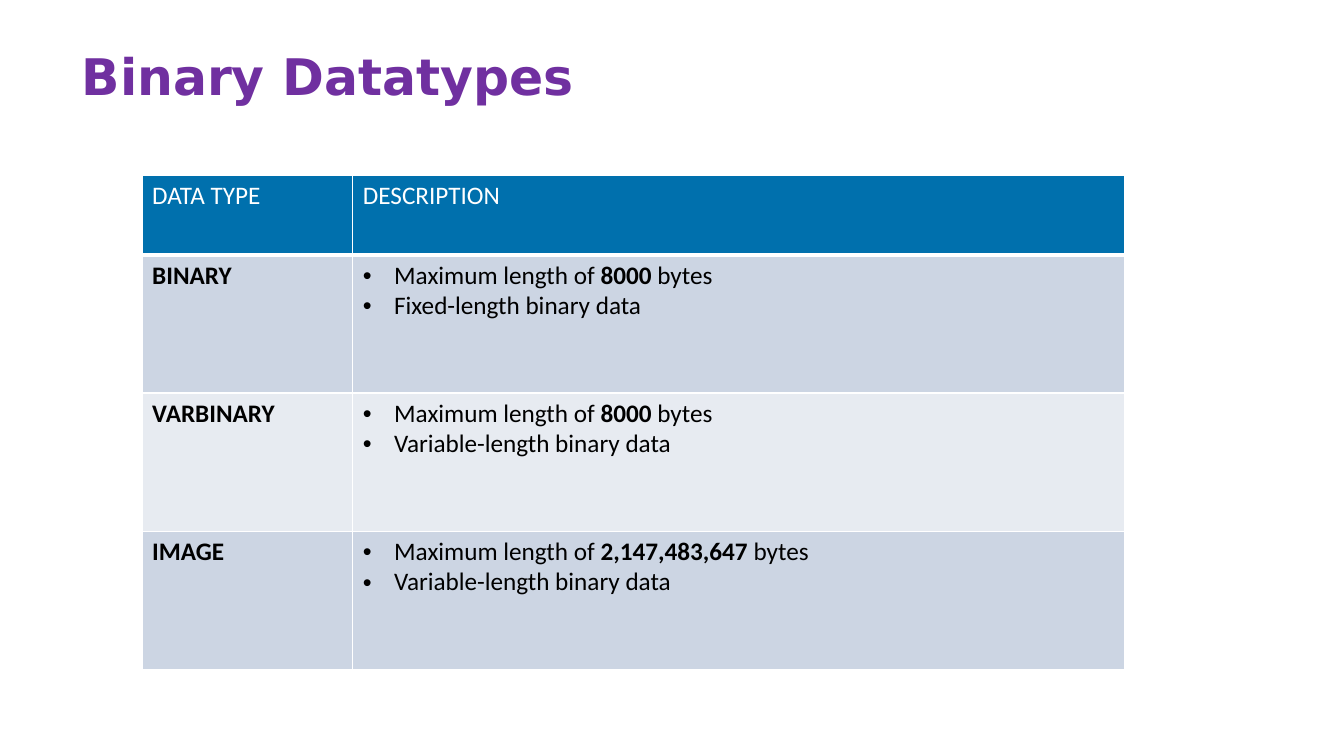
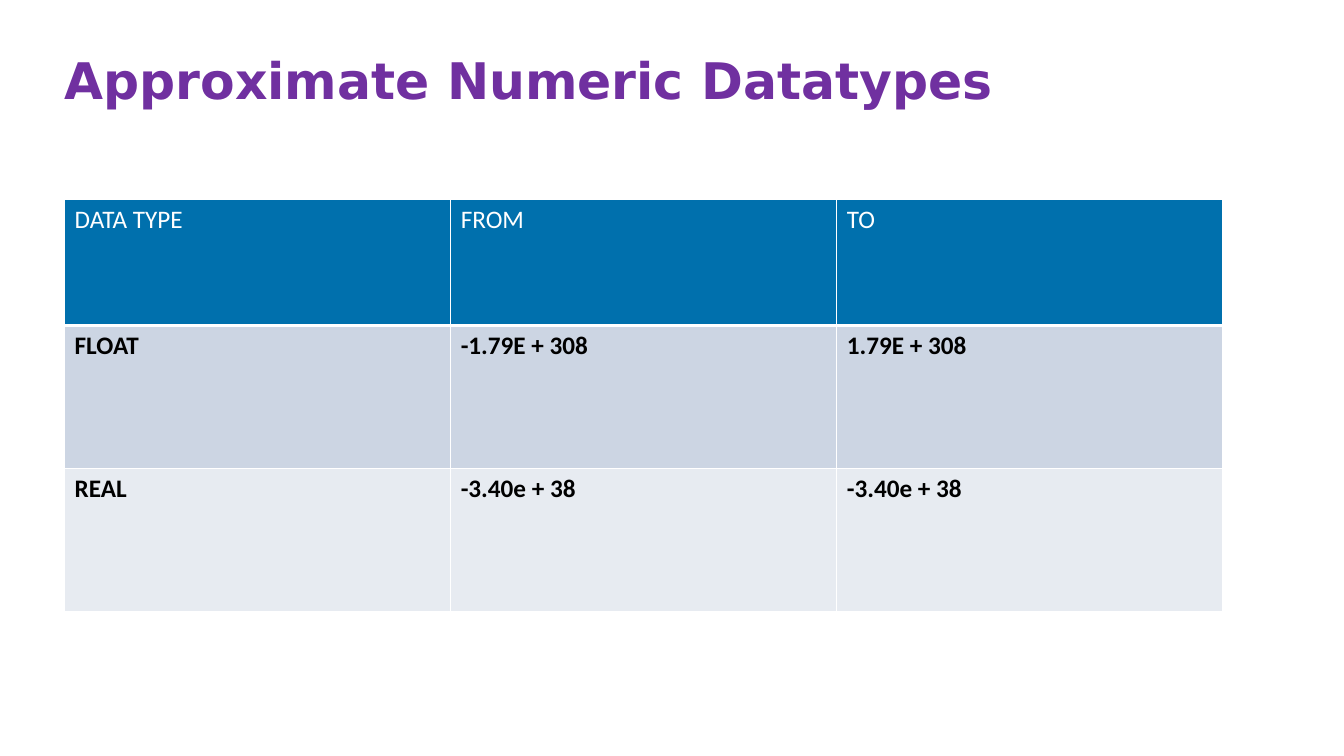
from dataclasses import dataclass

from lxml.etree import SubElement
from pptx import Presentation
from pptx.dml.color import RGBColor
from pptx.enum.text import MSO_ANCHOR, MSO_AUTO_SIZE, PP_ALIGN
from pptx.oxml.ns import qn
from pptx.util import Pt

PX = 9144  # EMU in one px, 100 px to the inch


@dataclass(frozen=True)
class Theme:
    title_font: str = "DejaVu Sans"
    title_size: int = 36
    title_color: str = "7030A0"
    cell_font: str = "Calibri"
    cell_size: int = 18
    header_fill: str = "0070AD"
    row_fills: tuple = ("CCD5E3", "E7EBF1")
    header_text: str = "FFFFFF"
    body_text: str = "000000"
    border: str = "FFFFFF"


THEME = Theme()


def add_span(para, text, font, size, color, bold):
    span = para.add_run()
    span.text = text
    span.font.name = font
    span.font.size = Pt(size)
    span.font.color.rgb = RGBColor.from_string(color)
    span.font.bold = bold


def add_borders(cell, widths):
    """Draw the left, right, top and bottom edges, with widths in points."""
    properties = cell._tc.get_or_add_tcPr()
    for side, width in zip("LRTB", widths):
        line = SubElement(properties, qn(f"a:ln{side}"), w=str(Pt(width)))
        fill = SubElement(line, qn("a:solidFill"))
        SubElement(fill, qn("a:srgbClr"), val=THEME.border)


# A cell is plain text or a list of bullets; a bullet lists (text, bold) spans.
def length_bullets(length, kind):
    return [
        [("Maximum length of ", False), (length, True), (" bytes", False)],
        [(f"{kind}-length binary data", False)],
    ]


PAGES = [
    {
        "title": "Binary Datatypes",
        "title_at": (81, 52),
        "table_at": (141, 174),
        "columns": [209, 765],
        "heights": [79, 137, 137, 137],
        "rows": [
            ["DATA TYPE", "DESCRIPTION"],
            ["BINARY", length_bullets("8000", "Fixed")],
            ["VARBINARY", length_bullets("8000", "Variable")],
            ["IMAGE", length_bullets("2,147,483,647", "Variable")],
        ],
    },
    {
        "title": "Approximate Numeric Datatypes",
        "title_at": (64, 56),
        "table_at": (64, 198),
        "columns": [383, 383, 383],
        "heights": [125, 142, 142],
        "rows": [
            ["DATA TYPE", "FROM", "TO"],
            ["FLOAT", "-1.79E + 308", "1.79E + 308"],
            ["REAL", "-3.40e + 38", "-3.40e + 38"],
        ],
    },
]

deck = Presentation()
deck.slide_width, deck.slide_height = 1333 * PX, 750 * PX
title_only = deck.slide_layouts.get_by_name("Title Only")

for content in PAGES:
    page = deck.slides.add_slide(title_only)

    title = page.shapes.title
    title.left, title.top = (value * PX for value in content["title_at"])
    title.width, title.height = 1205 * PX, 94 * PX
    frame = title.text_frame
    frame.margin_left = frame.margin_right = 0
    frame.margin_top = frame.margin_bottom = 0
    frame.vertical_anchor = MSO_ANCHOR.TOP
    frame.auto_size = MSO_AUTO_SIZE.NONE
    frame.word_wrap = True
    para = frame.paragraphs[0]
    para.alignment = PP_ALIGN.LEFT
    para.line_spacing = 0.9
    add_span(para, content["title"], THEME.title_font, THEME.title_size,
             THEME.title_color, True)

    rows, columns, heights = content["rows"], content["columns"], content["heights"]
    left, top = content["table_at"]
    table = page.shapes.add_table(
        len(rows), len(columns), left * PX, top * PX,
        sum(columns) * PX, sum(heights) * PX).table
    for column, width in zip(table.columns, columns):
        column.width = width * PX
    for row, height in zip(table.rows, heights):
        row.height = height * PX

    for row_index, row in enumerate(rows):
        is_header = row_index == 0
        fill = THEME.header_fill if is_header else THEME.row_fills[(row_index - 1) % 2]
        color = THEME.header_text if is_header else THEME.body_text
        top_width = 3 if row_index == 1 else 1
        bottom_width = 3 if is_header else 1
        for column_index, value in enumerate(row):
            cell = table.cell(row_index, column_index)
            add_borders(cell, (1, 1, top_width, bottom_width))
            cell.fill.solid()
            cell.fill.fore_color.rgb = RGBColor.from_string(fill)
            has_bullets = isinstance(value, list)
            paragraphs = value if has_bullets else [[(value, not is_header)]]
            for index, spans in enumerate(paragraphs):
                frame = cell.text_frame
                para = frame.add_paragraph() if index else frame.paragraphs[0]
                if has_bullets:
                    properties = para._p.get_or_add_pPr()
                    properties.set("marL", str(31 * PX))
                    properties.set("indent", str(-31 * PX))
                    SubElement(properties, qn("a:buFont"), typeface="Arial")
                    SubElement(properties, qn("a:buChar"), char="•")
                for text, bold in spans:
                    add_span(para, text, THEME.cell_font, THEME.cell_size, color, bold)

deck.save("out.pptx")
